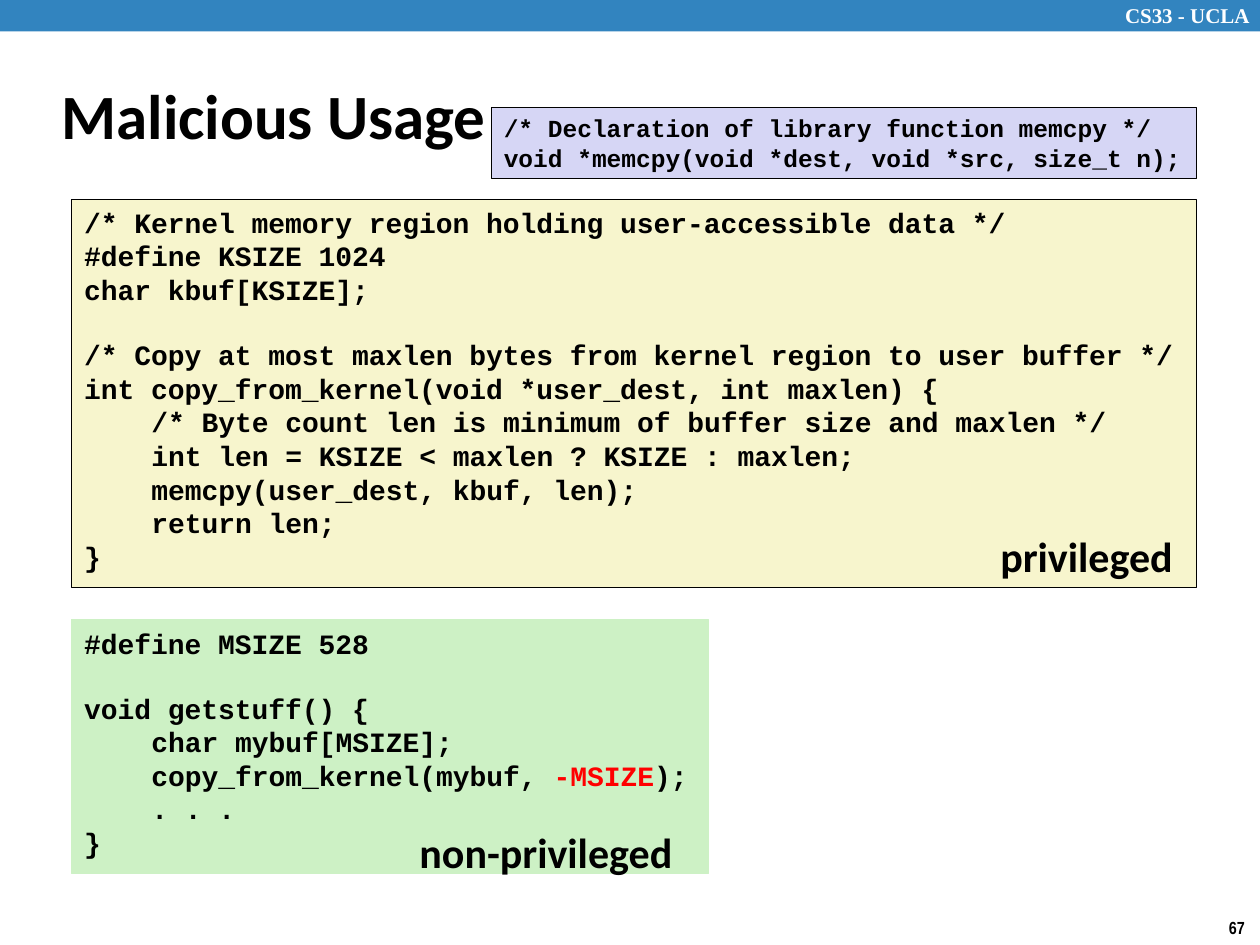
from pptx import Presentation
from pptx.dml.color import RGBColor
from pptx.enum.shapes import MSO_SHAPE as Shape
from pptx.enum.text import MSO_ANCHOR as Anchor
from pptx.util import Pt

COLORS = {
    "black": "000000", "white": "FFFFFF", "red": "FF0000", "banner": "3284BF",
    "kernel": "F7F5CD", "user": "CDF1C5", "library": "D6D6F5",
}

KERNEL_CODE = """\
/* Kernel memory region holding user-accessible data */
#define KSIZE 1024
char kbuf[KSIZE];

/* Copy at most maxlen bytes from kernel region to user buffer */
int copy_from_kernel(void *user_dest, int maxlen) {
    /* Byte count len is minimum of buffer size and maxlen */
    int len = KSIZE < maxlen ? KSIZE : maxlen;
    memcpy(user_dest, kbuf, len);
    return len;
}"""
USER_CODE = """\
#define MSIZE 528

void getstuff() {
    char mybuf[MSIZE];
    copy_from_kernel(mybuf, -MSIZE);
    . . .
}"""
LIBRARY_CODE = """\
/* Declaration of library function memcpy */
void *memcpy(void *dest, void *src, size_t n);"""

# Code panels: code, (left, top, width, height), fill, line, size, red words
PANELS = [
    (KERNEL_CODE, (41, 113.8, 643, 221.8), "kernel", "black", 16, None),
    (USER_CODE, (41, 354.2, 363.6, 144.7), "user", "user", 16, "-MSIZE"),
    (LIBRARY_CODE, (280.8, 61.2, 403.2, 41), "library", "black", 14, None),
]
# Labels: text, (left, top, width, height), format
LABELS = [
    ("CS33 - UCLA", (635.8, -2.2, 89.3, 21.6),
     dict(font="Times New Roman", size=12, color="white")),
    ("67", (695.2, 520.6, 24.5, 19.4), dict(font="Arial Narrow", size=10)),
    ("Malicious Usage", (28.1, 35.3, 597.6, 59.8),
     dict(size=36, anchor=Anchor.MIDDLE)),
    ("privileged", (564.5, 299.5, 113.8, 36), dict(size=24)),
    ("non-privileged", (232.6, 468.7, 160.6, 36), dict(size=24)),
]
CHAR_WIDTH = 0.6    # Courier advance per point of size
LINE_HEIGHT = 1.13  # Courier line height per point of size


def rgb(name):
    return RGBColor.from_string(COLORS[name])


def add_rect(place, fill, line=None):
    box = page.shapes.add_shape(Shape.RECTANGLE, *map(Pt, place))
    box.shadow.inherit = False
    box.fill.solid()
    box.fill.fore_color.rgb = rgb(fill)
    if line:
        box.line.color.rgb = rgb(line)
        box.line.width = Pt(0.5)
    else:
        box.line.fill.background()
    return box


def write(box, text, font="Calibri", size=16, color="black",
          anchor=Anchor.TOP, marked=None):
    """Write bold lines; leading spaces become indents, empty lines spacing."""
    frame = box.text_frame
    frame.word_wrap = False
    frame.vertical_anchor = anchor
    para, gap = None, 0
    for line in text.split("\n"):
        if not line:
            gap += size * LINE_HEIGHT
            continue
        para = frame.add_paragraph() if para else frame.paragraphs[0]
        words = line.lstrip()
        indent = (len(line) - len(words)) * size * CHAR_WIDTH
        props = para._p.get_or_add_pPr()
        props.set("algn", "l")
        props.set("marL", str(int(Pt(indent))))
        para.space_before = Pt(gap)
        gap = 0
        pieces = words.partition(marked) if marked else (words,)
        for piece in filter(None, pieces):
            span = para.add_run()
            span.text = piece
            span.font.name, span.font.size, span.font.bold = font, Pt(size), True
            span.font.color.rgb = rgb("red" if piece == marked else color)


deck = Presentation()
deck.slide_width, deck.slide_height = Pt(720), Pt(540)
page = deck.slides.add_slide(deck.slide_layouts[6])

# Banner
add_rect((0, 0, 720, 18), "banner")

# Code panels
for code, place, fill, line, size, marked in PANELS:
    write(add_rect(place, fill, line), code,
          font="Courier New", size=size, marked=marked)

# Title and labels
for text, place, style in LABELS:
    write(page.shapes.add_textbox(*map(Pt, place)), text, **style)

deck.save("out.pptx")
